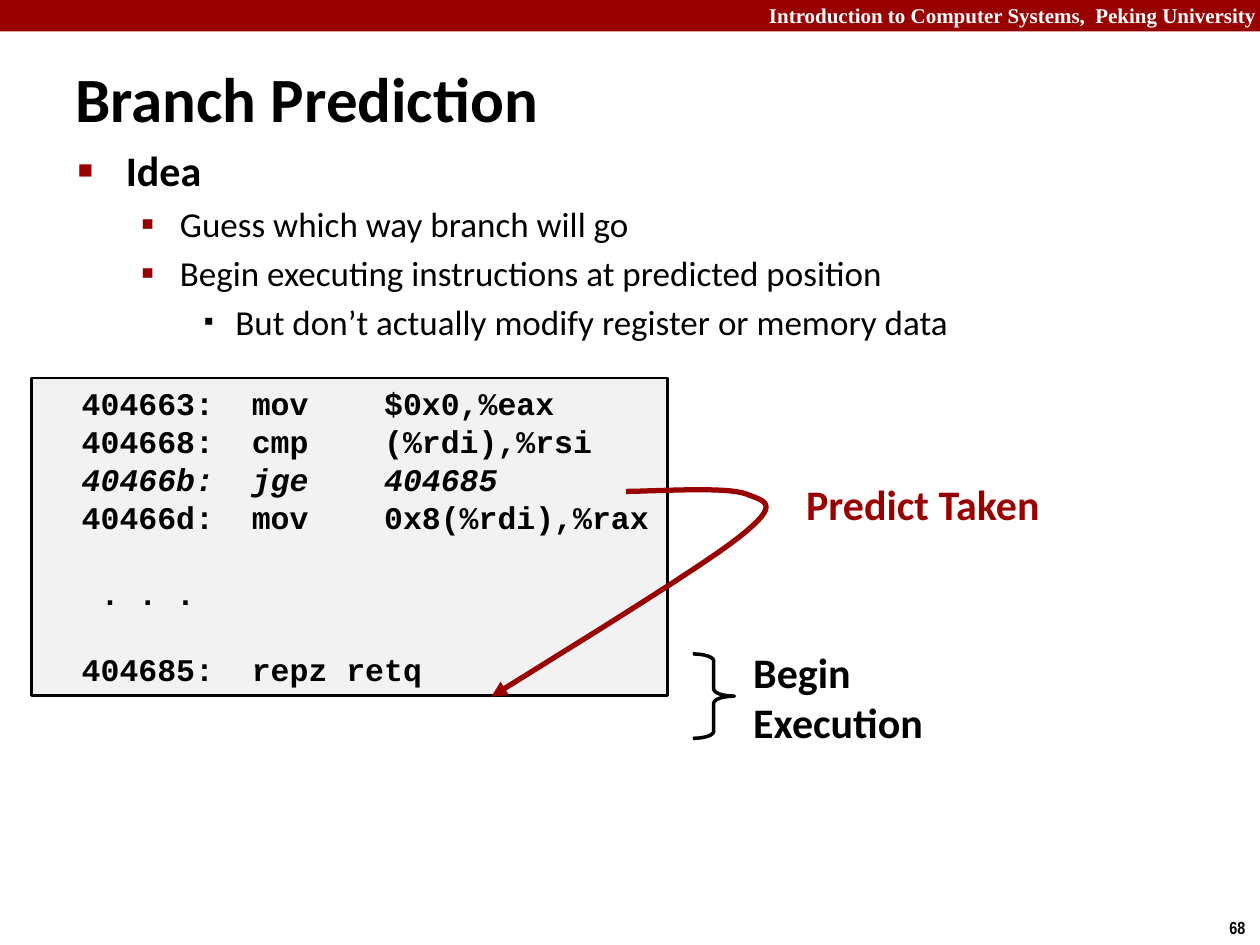
from lxml import etree
from pptx import Presentation
from pptx.dml.color import RGBColor
from pptx.enum.shapes import MSO_SHAPE
from pptx.enum.text import MSO_ANCHOR, PP_ALIGN
from pptx.oxml.ns import qn
from pptx.util import Inches, Pt

RED = RGBColor(0x99, 0x00, 0x00)
BLACK = RGBColor(0x00, 0x00, 0x00)
WHITE = RGBColor(0xFF, 0xFF, 0xFF)
PALE_GRAY = RGBColor(0xF2, 0xF2, 0xF2)

# level: indent, hanging, bullet, bullet size %, bullet colour, text size, bold
BULLET_LEVELS = [
    (0.38, 0.38, "■", 60, RED, 24, True),
    (0.81, 0.31, "▪", 110, RED, 20, False),
    (1.25, 0.25, "▪", 80, BLACK, 20, False),
]
IDEA = [
    (0, "Idea"),
    (1, "Guess which way branch will go"),
    (1, "Begin executing instructions at predicted position"),
    (2, "But don’t actually modify register or memory data"),
]
CODE = [
    "  404663:  mov    $0x0,%eax",
    "  404668:  cmp    (%rdi),%rsi",
    "  40466b:  jge    404685",
    "  40466d:  mov    0x8(%rdi),%rax",
    "",
    "   . . .",
    "",
    "  404685:  repz retq",
]
PREDICTED_JUMP = "jge"


def set_font(paragraph, size, color=BLACK, name="Calibri", bold=True):
    font = paragraph.font
    font.name, font.size, font.bold = name, Pt(size), bold
    font.color.rgb = color


def add_label(slide, box, lines, size, color=BLACK, name="Calibri",
              align=PP_ALIGN.LEFT, anchor=MSO_ANCHOR.TOP, wrap=True):
    frame = slide.shapes.add_textbox(*map(Inches, box)).text_frame
    frame.word_wrap = wrap
    frame.vertical_anchor = anchor
    frame.text = "\n".join(lines)
    for paragraph in frame.paragraphs:
        paragraph.alignment = align
        set_font(paragraph, size, color, name)


def add_outlined_shape(slide, kind, box, width):
    shape = slide.shapes.add_shape(kind, *map(Inches, box))
    shape.shadow.inherit = False
    shape.line.color.rgb = BLACK
    shape.line.width = Pt(width)
    return shape


def add_course_banner(slide, left, top, width, height):
    bar = slide.shapes.add_shape(
        MSO_SHAPE.RECTANGLE, *map(Inches, (left, top, width, height)))
    bar.shadow.inherit = False
    bar.fill.solid()
    bar.fill.fore_color.rgb = RED
    bar.line.fill.background()
    add_label(slide, (left + 6, top - 0.03, 4.07, 0.3),
              ["Introduction to Computer Systems,  Peking University "],
              12, WHITE, "Times New Roman", PP_ALIGN.RIGHT)


def add_bullet(paragraph, indent, hanging, char, percent, color):
    properties = paragraph._p.get_or_add_pPr()
    properties.set("marL", str(Inches(indent)))
    properties.set("indent", str(-Inches(hanging)))
    bullet_color = etree.SubElement(properties, qn("a:buClr"))
    etree.SubElement(bullet_color, qn("a:srgbClr"), val=str(color))
    etree.SubElement(properties, qn("a:buSzPct"), val=str(percent * 1000))
    etree.SubElement(properties, qn("a:buFont"), typeface="Arial")
    etree.SubElement(properties, qn("a:buChar"), char=char)


def add_idea_list(slide, left, top, width, height):
    frame = slide.shapes.add_textbox(
        *map(Inches, (left, top, width, height))).text_frame
    frame.word_wrap = True
    frame.text = "\n".join(text for _, text in IDEA)
    for index, (paragraph, (level, _)) in enumerate(zip(frame.paragraphs, IDEA)):
        *bullet, size, bold = BULLET_LEVELS[level]
        paragraph.level = level
        add_bullet(paragraph, *bullet)
        if index:
            paragraph.space_before = Pt(4)
        set_font(paragraph, size, bold=bold)


def add_code_listing(slide, left, top, width, height):
    panel = add_outlined_shape(
        slide, MSO_SHAPE.RECTANGLE, (left, top, width, height), 1.5)
    panel.fill.solid()
    panel.fill.fore_color.rgb = PALE_GRAY
    frame = panel.text_frame
    frame.word_wrap = False
    frame.vertical_anchor = MSO_ANCHOR.TOP
    frame.text = "\n".join(CODE)
    for paragraph, line in zip(frame.paragraphs, CODE):
        paragraph.alignment = PP_ALIGN.LEFT
        paragraph.line_spacing = Pt(21.7)
        set_font(paragraph, 18, name="Courier New")
        paragraph.font.italic = PREDICTED_JUMP in line


def bezier_points(start, control_1, control_2, end, steps=16):
    """Points along a cubic curve, without its start."""
    for step in range(1, steps + 1):
        t = step / steps
        u = 1 - t
        weights = (u ** 3, 3 * u * u * t, 3 * u * t * t, t ** 3)
        yield tuple(
            sum(w * c for w, c in zip(weights, axis))
            for axis in zip(start, control_1, control_2, end))


def add_jump_arrow(slide, left, top):
    """Curve from the jump down to its target, placed from its top left."""
    target = (0, 1.65)
    curves = [
        [(0.33, 1.44), (1.63, 0.65), (1.97, 0.38)],
        [(2.31, 0.11), (2.17, 0.1), (2.02, 0.04)],
        [(1.87, -0.02), (1.27, 0.02), (1.07, 0.02)],
    ]
    points = [target]
    for curve in curves:
        points.extend(bezier_points(points[-1], *curve))
    start, *rest = [(Inches(left + x), Inches(top + y)) for x, y in points]
    builder = slide.shapes.build_freeform(*start)
    builder.add_line_segments(rest, close=False)
    arrow = builder.convert_to_shape()
    arrow.shadow.inherit = False
    arrow.fill.background()
    arrow.line.color.rgb = RED
    arrow.line.width = Pt(3)
    etree.SubElement(arrow.line._get_or_add_ln(), qn("a:headEnd"), type="triangle")


def add_execution_note(slide, left, top):
    brace = add_outlined_shape(
        slide, MSO_SHAPE.RIGHT_BRACE, (left, top + 0.11, 0.33, 0.67), 2)
    brace.adjustments[0] = 0.167
    brace.fill.background()
    add_label(slide, (left + 0.38, top, 1.56, 0.91), ["Begin", "Execution"],
              24, wrap=False)


def main():
    presentation = Presentation()
    presentation.slide_width = Inches(10)
    presentation.slide_height = Inches(7.5)
    slide = presentation.slides.add_slide(presentation.slide_layouts[6])
    add_course_banner(slide, 0, 0, 10, 0.25)
    add_label(slide, (9.66, 7.23, 0.34, 0.27), ["68"], 10,
              name="Arial Narrow", wrap=False)
    add_label(slide, (0.5, 0.46, 6.16, 0.63), ["Branch Prediction"], 36,
              anchor=MSO_ANCHOR.MIDDLE)
    add_idea_list(slide, 0.52, 1.1, 9.09, 2.24)
    add_label(slide, (6.3, 3.75, 2.07, 0.5), ["Predict Taken"], 24, RED, wrap=False)
    add_execution_note(slide, 5.5, 5.08)
    add_code_listing(slide, 0.25, 3, 5.05, 2.52)
    add_jump_arrow(slide, 3.9, 3.88)
    presentation.save("out.pptx")


if __name__ == "__main__":
    main()
